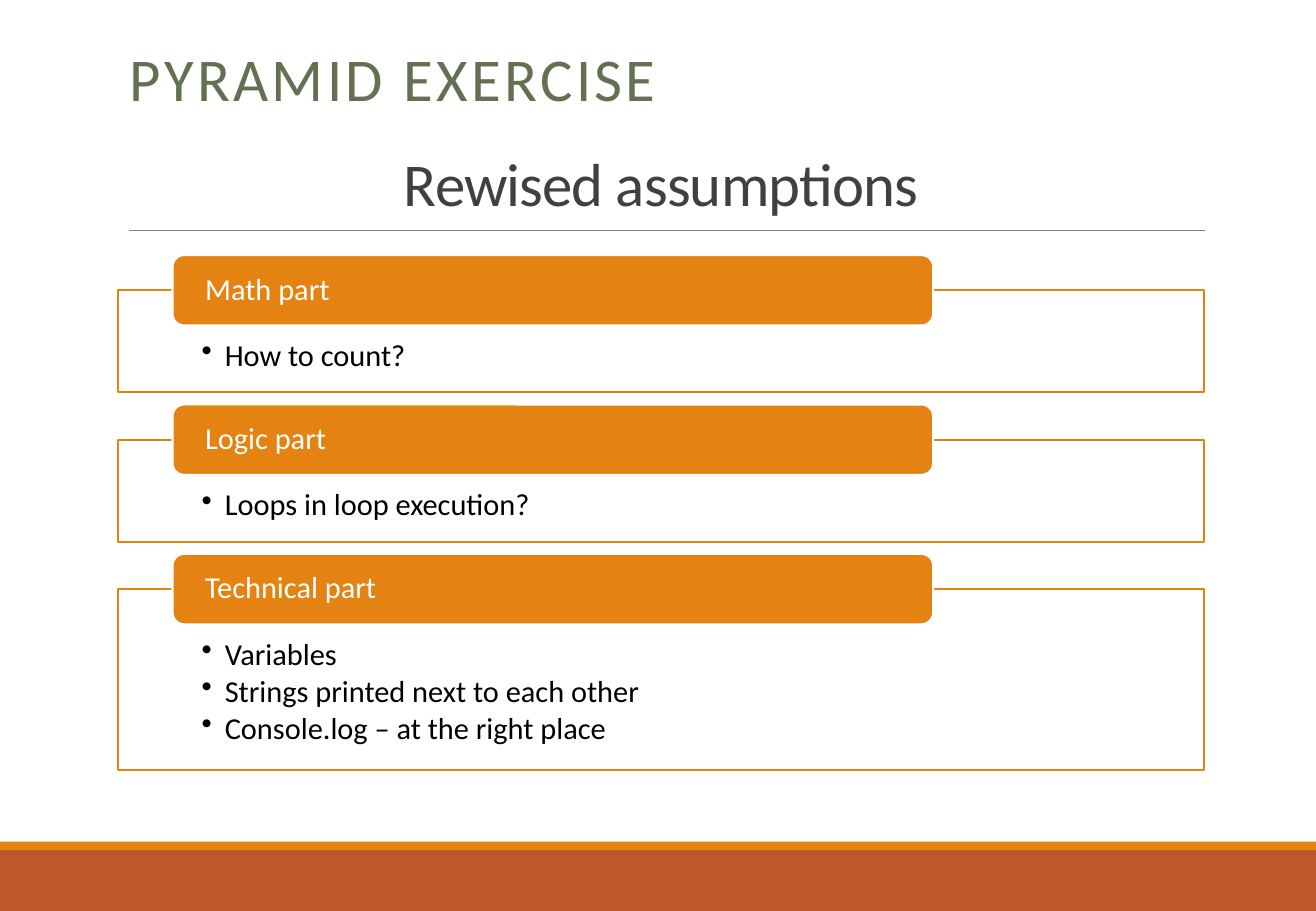
from dataclasses import dataclass

from lxml.etree import SubElement
from pptx import Presentation
from pptx.dml.color import RGBColor as RGB
from pptx.enum.shapes import MSO_CONNECTOR as CONN, MSO_SHAPE as SHAPE
from pptx.enum.text import MSO_ANCHOR as ANCHOR, MSO_AUTO_SIZE as FIT, PP_ALIGN as ALIGN
from pptx.oxml.ns import qn
from pptx.util import Pt

PX = 9144
SLIDE_W, SLIDE_H = 1083, 750


@dataclass(frozen=True)
class Theme:
    font: str = "Calibri"
    heading: int = 36
    body: int = 18
    orange: RGB = RGB.from_string("E48312")
    rust: RGB = RGB.from_string("BD582C")
    green: RGB = RGB.from_string("637052")
    dark: RGB = RGB.from_string("404040")
    grey: RGB = RGB.from_string("808080")
    black: RGB = RGB.from_string("000000")
    white: RGB = RGB.from_string("FFFFFF")


T = Theme()

CARDS = [
    ("Math part", ["How to count?"], 84),
    ("Logic part", ["Loops in loop execution?"], 84),
    ("Technical part", ["Variables", "Strings printed next to each other",
                        "Console.log – at the right place"], 149),
]


def emu(*lengths):
    return [n * PX for n in lengths]


def write(sp, lines, size=T.body, color=T.black, align=ALIGN.LEFT, anchor=ANCHOR.TOP,
          insets=(10, 5, 10, 5), line=0.9, after=0, track=0, bullet_indent=0):
    tf = sp.text_frame
    tf.word_wrap = True
    tf.auto_size = FIT.NONE
    tf.vertical_anchor = anchor
    tf.margin_left, tf.margin_top, tf.margin_right, tf.margin_bottom = emu(*insets)
    for i, text in enumerate(lines):
        p = tf.add_paragraph() if i else tf.paragraphs[0]
        p.alignment, p.line_spacing = align, line
        p.space_before, p.space_after = Pt(0), Pt(after)
        if bullet_indent:
            pPr = p._p.get_or_add_pPr()
            pPr.set("marL", str(bullet_indent * PX))
            pPr.set("indent", str(-bullet_indent * PX))
            SubElement(pPr, qn("a:buChar"), char="•")
        r = p.add_run()
        r.text = text
        r.font.name, r.font.size = T.font, Pt(size)
        r.font.color.rgb = color
        if track:
            r._r.get_or_add_rPr().set("spc", str(track))


def add_box(slide, kind, box, fill, line=None):
    sp = slide.shapes.add_shape(kind, *emu(*box))
    sp.shadow.inherit = False
    sp.fill.solid()
    sp.fill.fore_color.rgb = fill
    if line is None:
        sp.line.fill.background()
    else:
        sp.line.color.rgb = line
        sp.line.width = Pt(1.25)
    return sp


def add_footer(slide, x, y, w, h):
    stripe = 7
    add_box(slide, SHAPE.RECTANGLE, (x, y + stripe, w, h - stripe), T.rust)
    add_box(slide, SHAPE.RECTANGLE, (x, y, w, stripe), T.orange)


def add_header(slide, x, y, w, h):
    row = 85
    kicker = slide.shapes.add_textbox(*emu(x, y, w, row))
    write(kicker, ["PYRAMID EXERCISE"], size=T.heading, color=T.green,
          anchor=ANCHOR.BOTTOM, line=0.85, track=200)
    title = slide.shapes.title
    title.left, title.top, title.width, title.height = emu(x, y + 86, w, row)
    write(title, ["Rewised assumptions"], size=T.heading, color=T.dark,
          align=ALIGN.CENTER, anchor=ANCHOR.BOTTOM, line=0.85, track=-50)
    rule = slide.shapes.add_connector(CONN.STRAIGHT, *emu(x + 9, y + h, x + w + 1, y + h))
    rule.line.color.rgb = T.grey
    rule.line.width = Pt(0.5)
    SubElement(rule._element.spPr, qn("a:effectLst"))


def add_card(slide, x, y, w, h, label, points):
    frame = add_box(slide, SHAPE.RECTANGLE, (x, y, w, h), T.white, T.orange)
    write(frame, points, insets=(69, 41, 69, 14), after=2.5, bullet_indent=19)
    tab = add_box(slide, SHAPE.ROUNDED_RECTANGLE, (x + 45, y - 29, w * 7 // 10 + 1, 58),
                  T.orange, T.white)
    write(tab, [label], color=T.white, anchor=ANCHOR.MIDDLE, insets=(24, 0, 24, 0))


def add_cards(slide, x, y, w, gap):
    for label, points, h in CARDS:
        add_card(slide, x, y, w, h, label, points)
        y += h + gap


def main():
    prs = Presentation()
    prs.slide_width, prs.slide_height = emu(SLIDE_W, SLIDE_H)
    slide = prs.slides.add_slide(prs.slide_layouts[5])
    add_footer(slide, 0, 693, SLIDE_W, 57)
    add_header(slide, 97, 14, 894, 176)
    add_cards(slide, 97, 239, 894, 39)
    prs.save("out.pptx")


if __name__ == "__main__":
    main()
